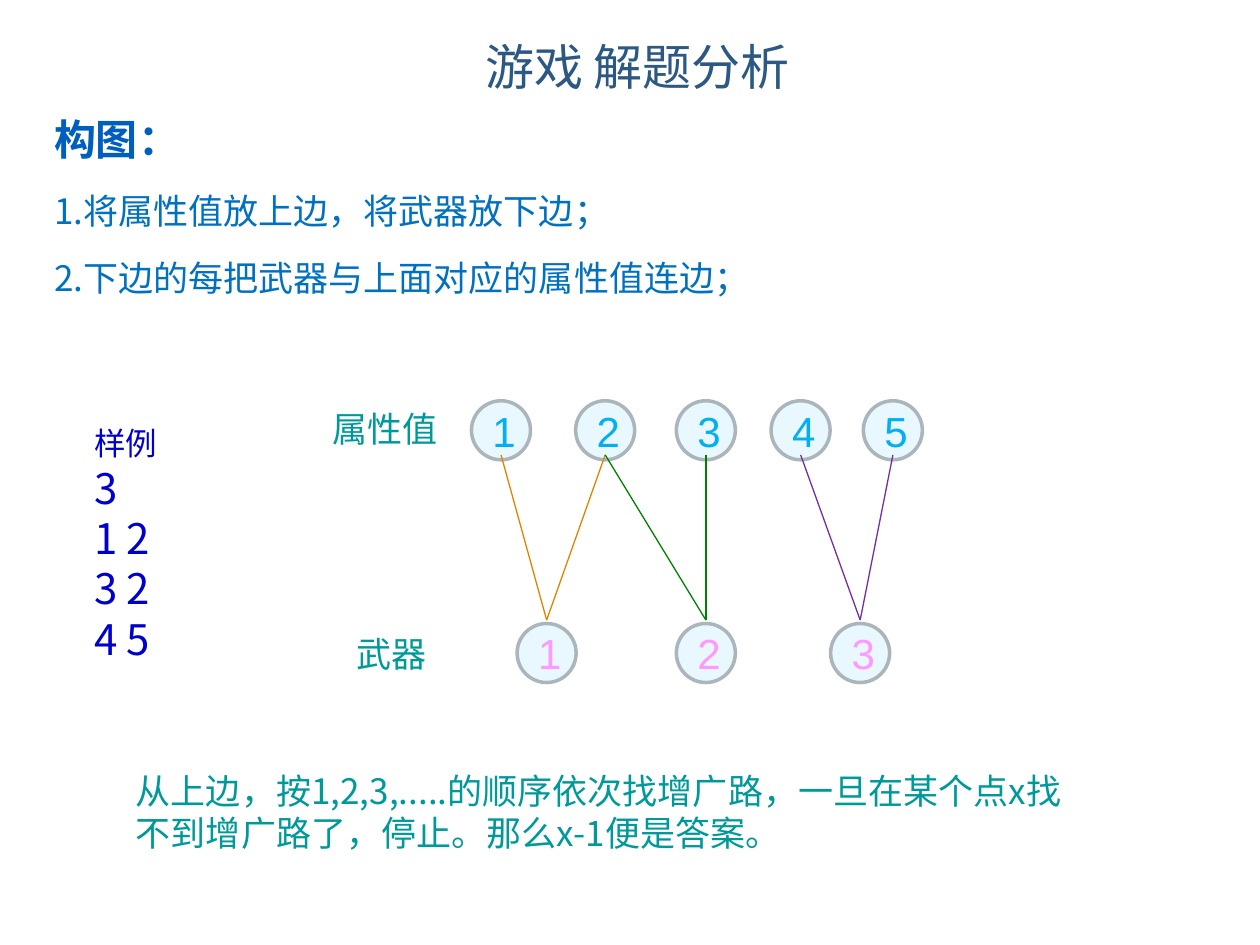
from dataclasses import dataclass

from lxml import etree
from pptx import Presentation
from pptx.dml.color import RGBColor
from pptx.enum.shapes import MSO_CONNECTOR, MSO_SHAPE
from pptx.enum.text import MSO_ANCHOR, PP_ALIGN
from pptx.oxml.ns import qn
from pptx.slide import Slide
from pptx.text.text import TextFrame, _Paragraph
from pptx.util import Cm, Pt

LEFT, CENTER = PP_ALIGN.LEFT, PP_ALIGN.CENTER
TOP, MIDDLE = MSO_ANCHOR.TOP, MSO_ANCHOR.MIDDLE
ELLIPSE = MSO_SHAPE.OVAL
STRAIGHT = MSO_CONNECTOR.STRAIGHT

CJK_FONT = "Noto Sans CJK SC"
NODE_FONT = "Arial"
COLORS = {
    "title": "2C5884",
    "heading": "005FBE",
    "step": "0070C0",
    "sample": "0000CC",
    "note": "009999",
    "node_fill": "E9F7FF",
    "node_line": "ABB6BC",
    "attribute": "00B0F0",
    "weapon": "FF99FF",
    "edge_1": "DE8400",
    "edge_2": "008000",
    "edge_3": "7030A0",
}

# Lengths in centimetres
NODE_SIZE = 1.19
ATTRIBUTE_TOP, WEAPON_TOP = 8.08, 12.57
EDGE_TOP, EDGE_BOTTOM = 9.17, 12.5
ATTRIBUTE_CENTERS = {1: 10.1, 2: 12.2, 3: 14.23, 4: 16.14, 5: 18.0}


@dataclass(frozen=True)
class Line:
    text: str
    size: float
    color: str
    bold: bool = False
    space_before: float = 0


@dataclass(frozen=True)
class Weapon:
    label: str
    center: float
    attributes: tuple[int, int]
    edge_color: str


WEAPONS = (
    Weapon("1", 11.02, (1, 2), "edge_1"),
    Weapon("2", 14.23, (2, 3), "edge_2"),
    Weapon("3", 17.34, (4, 5), "edge_3"),
)


def rgb(name: str) -> RGBColor:
    return RGBColor.from_string(COLORS[name])


def write_span(para: _Paragraph, text: str, *, size: float, color: str,
               font: str = CJK_FONT, bold: bool = False) -> None:
    """Add a run with the same typeface for Latin and East Asian text."""
    span = para.add_run()
    span.text = text
    span.font.name = font
    span.font.size = Pt(size)
    span.font.bold = bold
    span.font.color.rgb = rgb(color)
    latin = span.font._element.find(qn("a:latin"))
    east_asian = etree.Element(qn("a:ea"), typeface=font)
    latin.addnext(east_asian)


def write_lines(frame: TextFrame, lines: list[Line], *, font: str = CJK_FONT,
                align: PP_ALIGN = LEFT, anchor: MSO_ANCHOR = TOP,
                line_spacing: float = 1.0) -> None:
    frame.word_wrap = True
    frame.vertical_anchor = anchor
    for index, line in enumerate(lines):
        para = frame.add_paragraph() if index else frame.paragraphs[0]
        para.alignment = align
        para.line_spacing = line_spacing
        para.space_before = Pt(line.space_before)
        write_span(para, line.text, size=line.size, color=line.color,
                   font=font, bold=line.bold)


def add_text(page: Slide, left: float, top: float, width: float, height: float,
             lines: list[Line], *, align: PP_ALIGN = LEFT,
             anchor: MSO_ANCHOR = TOP, line_spacing: float = 1.0) -> None:
    box = page.shapes.add_textbox(Cm(left), Cm(top), Cm(width), Cm(height))
    write_lines(box.text_frame, lines, align=align, anchor=anchor,
                line_spacing=line_spacing)


def add_node(page: Slide, label: str, center: float, top: float, color: str) -> None:
    node = page.shapes.add_shape(ELLIPSE, Cm(center - NODE_SIZE / 2), Cm(top),
                                 Cm(NODE_SIZE), Cm(NODE_SIZE))
    node.shadow.inherit = False
    node.fill.solid()
    node.fill.fore_color.rgb = rgb("node_fill")
    node.line.color.rgb = rgb("node_line")
    node.line.width = Pt(2)
    write_lines(node.text_frame, [Line(label, 24, color)], font=NODE_FONT,
                align=CENTER, anchor=MIDDLE)


def add_edge(page: Slide, weapon: Weapon, attribute: int) -> None:
    edge = page.shapes.add_connector(
        STRAIGHT, Cm(weapon.center), Cm(EDGE_BOTTOM),
        Cm(ATTRIBUTE_CENTERS[attribute]), Cm(EDGE_TOP))
    edge.line.color.rgb = rgb(weapon.edge_color)
    edge.line.width = Pt(0.75)
    etree.SubElement(edge._element.spPr, qn("a:effectLst"))


def add_graph(page: Slide) -> None:
    for value, center in ATTRIBUTE_CENTERS.items():
        add_node(page, str(value), center, ATTRIBUTE_TOP, "attribute")
    for weapon in WEAPONS:
        add_node(page, weapon.label, weapon.center, WEAPON_TOP, "weapon")
    for weapon in WEAPONS:
        for attribute in weapon.attributes:
            add_edge(page, weapon, attribute)
    add_text(page, 6.45, 8.1, 3.2, 1.12, [Line("属性值", 20, "note")])
    add_text(page, 6.3, 12.62, 3.2, 1.12, [Line("武器", 20, "note")], align=CENTER)


def main() -> None:
    deck = Presentation()
    deck.slide_width, deck.slide_height = Cm(25.4), Cm(19.05)
    page = deck.slides.add_slide(deck.slide_layouts[6])

    add_text(page, 0.99, 0.25, 23.72, 2.16, [Line("游戏 解题分析", 28, "title")],
             align=CENTER, anchor=MIDDLE)
    add_text(page, 0.84, 1.75, 23.72, 4.78, [
        Line("构图：", 24, "heading", bold=True),
        Line("1.将属性值放上边，将武器放下边；", 20, "step", space_before=5),
        Line("2.下边的每把武器与上面对应的属性值连边；", 20, "step", space_before=5),
    ], line_spacing=1.4)
    sample_rows = [Line(row, 24, "sample") for row in ("3", "1 2", "3 2", "4 5")]
    add_text(page, 1.65, 8.43, 2.29, 5.08, [Line("样例", 18, "sample"), *sample_rows])
    add_graph(page)
    conclusion = ("从上边，按1,2,3,.....的顺序依次找增广路，一旦在某个点x"
                  "找不到增广路了，停止。那么x-1便是答案。")
    add_text(page, 2.49, 15.39, 19.76, 1.96, [Line(conclusion, 20, "note")])

    deck.save("out.pptx")


if __name__ == "__main__":
    main()
